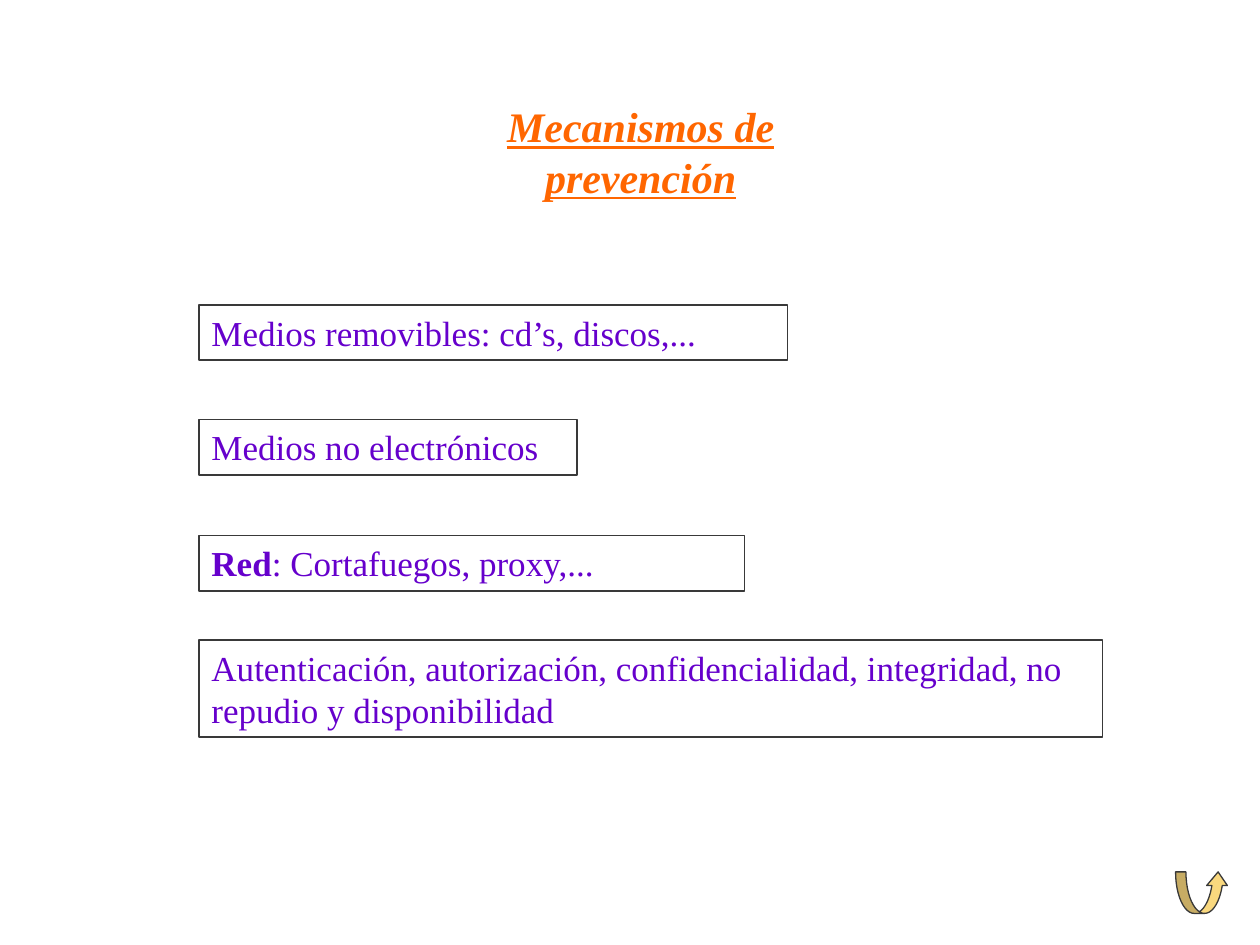
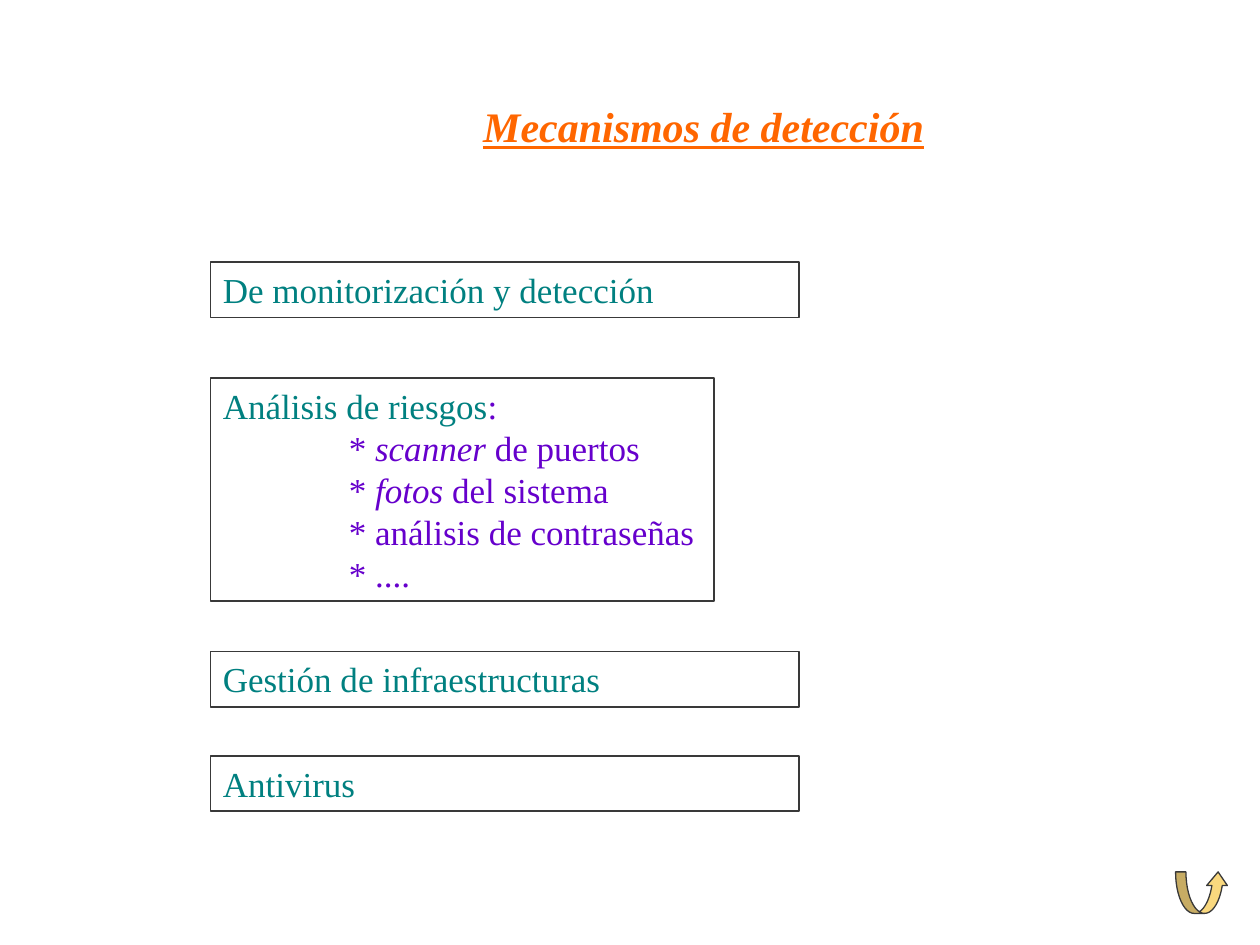
from pptx import Presentation
from pptx.dml.color import RGBColor
from pptx.enum import shapes, text
from pptx.util import Inches, Pt

COLORS = {"title": "FF6600", "violet": "6600CC", "teal": "008080",
          "outline": "393939", "arrow": "F9D87E"}
FONT = "Times New Roman"
TITLE_STYLE = {"size": Pt(24), "bold": True, "italic": True, "underline": True}
BODY_STYLE = {"size": Pt(20)}
LINE_HEIGHT = 0.44
BULLET_INDENT = Inches(1)


def rgb(name):
    return RGBColor.from_string(COLORS[name])


def add_spans(para, spans, style):
    """Each span is (words, color name, extra font values)."""
    for words, color, extra in spans:
        span = para.add_run()
        span.text = words
        span.font.name = FONT
        span.font.color.rgb = rgb(color)
        for key, value in {**style, **extra}.items():
            setattr(span.font, key, value)


def set_frame(frame):
    settings = {"word_wrap": True,
                "auto_size": text.MSO_AUTO_SIZE.SHAPE_TO_FIT_TEXT,
                "vertical_anchor": text.MSO_ANCHOR.TOP}
    for key, value in settings.items():
        setattr(frame, key, value)


def add_title(page, words, width, height):
    box = page.shapes.add_textbox(Inches(3.67), Inches(0.75), Inches(width), Inches(height))
    set_frame(box.text_frame)
    para = box.text_frame.paragraphs[0]
    para.alignment = text.PP_ALIGN.CENTER
    add_spans(para, [(words, "title", {})], TITLE_STYLE)


def add_outlined(page, kind, left, top, width, height, weight):
    shape = page.shapes.add_shape(kind, Inches(left), Inches(top), Inches(width), Inches(height))
    shape.shadow.inherit = False
    shape.line.color.rgb = rgb("outline")
    shape.line.width = Pt(weight)
    return shape


def add_return_arrow(page):
    arrow = add_outlined(page, shapes.MSO_SHAPE.CURVED_UP_ARROW, 9.33, 6.92, 0.42, 0.33, 0.75)
    arrow.fill.solid()
    arrow.fill.fore_color.rgb = rgb("arrow")
    arrow.adjustments[2] = 0.33


def add_item(page, left, top, width, height, lines):
    """Outlined box: a heading line, then any indented lines."""
    box = add_outlined(page, shapes.MSO_SHAPE.RECTANGLE, left, top, width, height, 1)
    box.fill.background()
    frame = box.text_frame
    set_frame(frame)
    for index, spans in enumerate(lines):
        para = frame.add_paragraph() if index else frame.paragraphs[0]
        para.alignment = text.PP_ALIGN.LEFT
        if index:
            para._p.get_or_add_pPr().set("marL", str(BULLET_INDENT))
        add_spans(para, spans, BODY_STYLE)


def add_mechanisms(deck, title, title_size, left, items):
    page = deck.slides.add_slide(deck.slide_layouts[6])
    add_title(page, title, *title_size)
    add_return_arrow(page)
    for top, width, height, lines in items:
        add_item(page, left, top, width, height, lines)


def plain(words, color):
    return [[(words, color, {})]]


def bullet(*parts):
    """Indented line; a part given as a tuple is italic."""
    return [(part[0], "violet", {"italic": True}) if isinstance(part, tuple)
            else (part, "violet", {}) for part in parts]


def main():
    deck = Presentation()
    deck.slide_width, deck.slide_height = Inches(10), Inches(7.5)

    # Prevention
    network = [[("Red", "violet", {"bold": True}),
                (": Cortafuegos, proxy,...", "violet", {})]]
    add_mechanisms(deck, "Mecanismos de prevención", (2.83, 0.9), 1.58, [
        (2.42, 4.67, LINE_HEIGHT, plain("Medios removibles: cd’s, discos,...", "violet")),
        (3.33, 3, LINE_HEIGHT, plain("Medios no electrónicos", "violet")),
        (4.25, 4.33, LINE_HEIGHT, network),
        (5.08, 7.17, 0.77, plain("Autenticación, autorización, confidencialidad, "
                                 "integridad, no repudio y disponibilidad", "violet")),
    ])

    # Detection
    risks = [[("Análisis de riesgos", "teal", {}), (":", "violet", {})],
             bullet("* ", ("scanner",), " de puertos"),
             bullet("* ", ("fotos",), " del sistema"),
             bullet("* análisis de contraseñas"),
             bullet("* ....")]
    add_mechanisms(deck, "Mecanismos de detección", (3.83, 0.5), 1.67, [
        (2.08, 4.67, LINE_HEIGHT, plain("De monitorización y detección", "teal")),
        (3, 4, 1.77, risks),
        (5.17, 4.67, LINE_HEIGHT, plain("Gestión de infraestructuras", "teal")),
        (6, 4.67, LINE_HEIGHT, plain("Antivirus", "teal")),
    ])

    deck.save("out.pptx")


if __name__ == "__main__":
    main()
